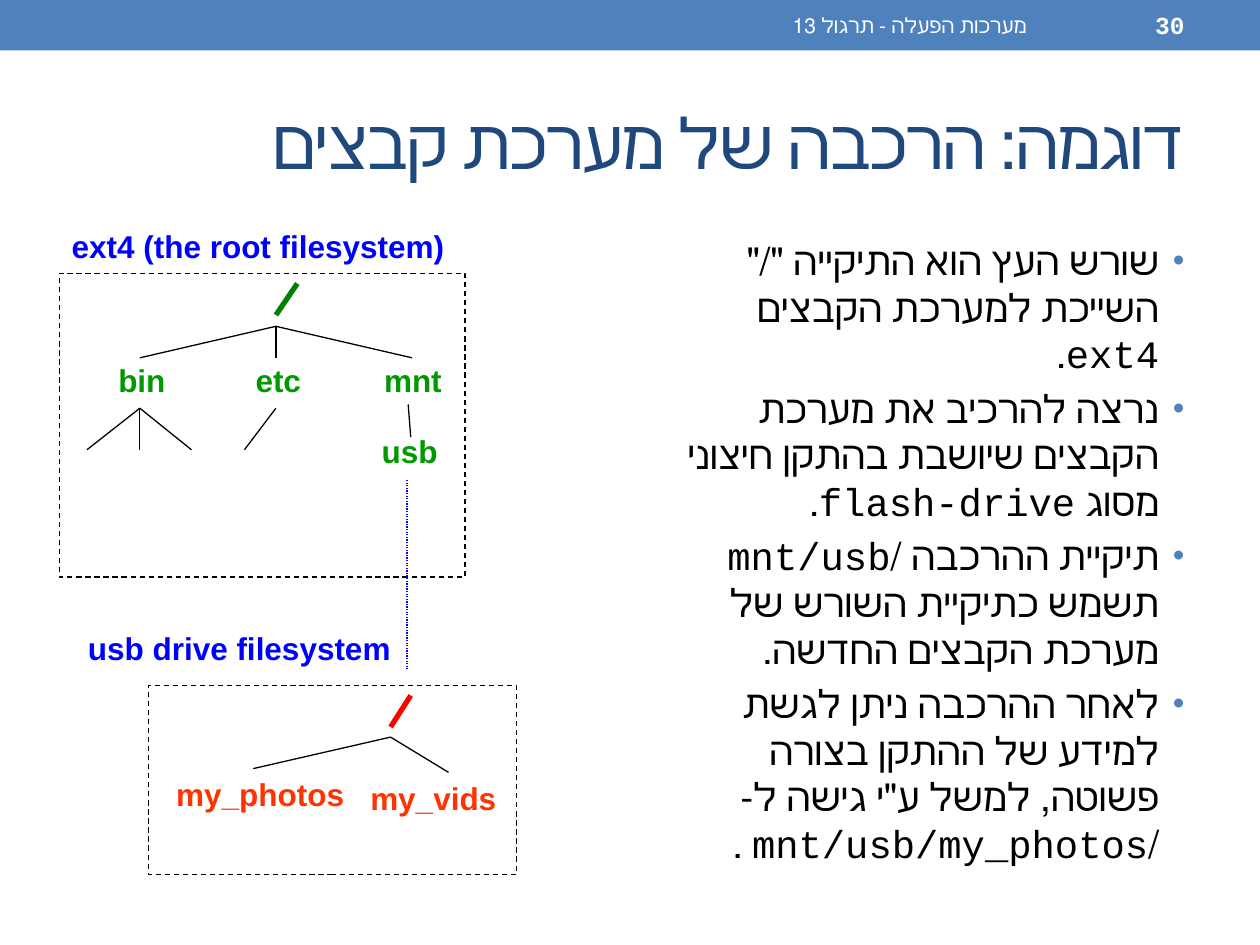
from typing import NamedTuple

from lxml import etree
from pptx import Presentation
from pptx.dml.color import RGBColor
from pptx.enum import dml, shapes, text
from pptx.oxml.ns import qn
from pptx.util import Inches, Pt

COLORS = {
    "bar": "4F81BD", "title": "1F497D", "white": "FFFFFF", "black": "000000",
    "root": "008000", "folder": "009900", "usb_root": "FF0000",
    "usb_folder": "FF3300", "caption": "0000FF",
}
MONO = "Courier New"
DASH = dml.MSO_LINE.DASH
DOTS = dml.MSO_LINE.ROUND_DOT


class Box(NamedTuple):
    left: float
    top: float
    width: float
    height: float


class Label(NamedTuple):
    wording: str
    left: float
    top: float
    width: float
    color: str


class Fan(NamedTuple):
    """Lines from one point to each of several ends."""
    start: tuple[float, float]
    ends: list[tuple[float, float]]
    color: str = "black"
    width: float = 0.75
    dash: dml.MSO_LINE | None = None


TITLE = "דוגמה: הרכבה של מערכת קבצים"
BULLETS = [
    'שורש העץ הוא התיקייה "/" השייכת למערכת הקבצים ext4.',
    "נרצה להרכיב את מערכת הקבצים שיושבת בהתקן חיצוני מסוג flash-drive.",
    "תיקיית ההרכבה /mnt/usb תשמש כתיקיית השורש של מערכת הקבצים החדשה.",
    'לאחר ההרכבה ניתן לגשת למידע של ההתקן בצורה פשוטה, למשל ע"י גישה ל- /mnt/usb/my_photos .',
]
FILESYSTEMS = [Box(0.47, 2.17, 3.22, 2.41), Box(1.18, 5.44, 2.92, 1.5)]
FANS = [
    Fan((2.36, 2.25), [(2.19, 2.5)], "root", 3),
    Fan((2.19, 2.59), [(1.11, 2.84), (2.19, 2.84), (3.27, 2.84)]),
    Fan((1.11, 3.24), [(0.69, 3.57), (1.11, 3.57), (1.52, 3.57)]),
    Fan((2.19, 3.24), [(1.94, 3.57)]),
    Fan((3.24, 3.21), [(3.26, 3.47)]),
    Fan((3.23, 3.81), [(3.23, 5.31)], "caption", dash=DOTS),
    Fan((3.26, 5.52), [(3.1, 5.77)], "usb_root", 3),
    Fan((3.1, 5.85), [(2.01, 6.1), (3.56, 6.13)]),
]
LABELS = [
    Label("bin", 0.84, 2.82, 0.58, "folder"),
    Label("etc", 1.93, 2.82, 0.56, "folder"),
    Label("mnt", 2.95, 2.82, 0.66, "folder"),
    Label("usb", 2.93, 3.38, 0.65, "folder"),
    Label("my_photos", 1.3, 6.1, 1.55, "usb_folder"),
    Label("my_vids", 2.84, 6.13, 1.21, "usb_folder"),
    Label("ext4 (the root filesystem)", 0.47, 1.75, 3.19, "caption"),
    Label("usb drive filesystem", 0.6, 4.94, 2.63, "caption"),
]


def rgb(name: str) -> RGBColor:
    return RGBColor.from_string(COLORS[name])


def inches(box) -> list:
    return [Inches(value) for value in box]


def add_run(paragraph, wording: str, size: float, color: str,
            font: str = MONO, bold: bool = False):
    run = paragraph.add_run()
    run.text = wording
    run.font.name = font
    run.font.size = Pt(size)
    run.font.bold = bold
    run.font.color.rgb = rgb(color)
    return run


def set_right_to_left(paragraph) -> None:
    paragraph.alignment = text.PP_ALIGN.RIGHT
    paragraph._p.get_or_add_pPr().set("rtl", "1")


def place(placeholder, box: Box, anchor) -> None:
    placeholder.left, placeholder.top, placeholder.width, placeholder.height = inches(box)
    placeholder.text_frame.auto_size = text.MSO_AUTO_SIZE.NONE
    placeholder.text_frame.vertical_anchor = anchor


def fill_title(placeholder) -> None:
    place(placeholder, Box(0.5, 0.58, 9, 1.08), text.MSO_ANCHOR.MIDDLE)
    paragraph = placeholder.text_frame.paragraphs[0]
    set_right_to_left(paragraph)
    run = add_run(paragraph, TITLE, 40, "title")
    run.font._element.set("spc", "-100")


def add_bullet(paragraph) -> None:
    properties = paragraph._p.get_or_add_pPr()
    properties.set("marL", str(Inches(0.2)))
    properties.set("indent", str(-Inches(0.2)))
    color = etree.SubElement(properties, qn("a:buClr"))
    etree.SubElement(color, qn("a:srgbClr"), val=COLORS["bar"])
    etree.SubElement(properties, qn("a:buSzPct"), val="85000")
    etree.SubElement(properties, qn("a:buFont"), typeface="Arial")
    etree.SubElement(properties, qn("a:buChar"), char="•")


def fill_body(placeholder) -> None:
    place(placeholder, Box(5.08, 1.83, 4.42, 5.16), text.MSO_ANCHOR.TOP)
    frame = placeholder.text_frame
    for index, wording in enumerate(BULLETS):
        paragraph = frame.add_paragraph() if index else frame.paragraphs[0]
        set_right_to_left(paragraph)
        paragraph.space_before = Pt(4.4)
        add_bullet(paragraph)
        add_run(paragraph, wording, 22.2, "black")


def add_rectangle(slide, box: Box):
    shape = slide.shapes.add_shape(shapes.MSO_SHAPE.RECTANGLE, *inches(box))
    shape.shadow.inherit = False
    return shape


def add_header_text(slide, wording: str, left: float, width: float,
                    size: float, bold: bool = False):
    box = Box(left, 0.02, width, 0.36)
    frame = slide.shapes.add_textbox(*inches(box)).text_frame
    frame.word_wrap = True
    frame.vertical_anchor = text.MSO_ANCHOR.MIDDLE
    set_right_to_left(frame.paragraphs[0])
    return add_run(frame.paragraphs[0], wording, size, "white", bold=bold)


def add_header(slide) -> None:
    bar = add_rectangle(slide, Box(0, 0, 10, 0.4))
    bar.fill.solid()
    bar.fill.fore_color.rgb = rgb("bar")
    bar.line.fill.background()
    add_header_text(slide, "מערכות הפעלה - תרגול 13", 3.75, 4.5, 12)
    number = add_header_text(slide, "30", 8.33, 1.17, 14, bold=True)
    # Digits in a right-to-left paragraph take the complex-script font.
    etree.SubElement(number.font._element, qn("a:cs"), typeface=MONO)


def add_frame(slide, box: Box) -> None:
    frame = add_rectangle(slide, box)
    frame.fill.background()
    frame.line.color.rgb = rgb("black")
    frame.line.width = Pt(0.75)
    frame.line.dash_style = DASH


def add_fan(slide, fan: Fan) -> None:
    for end in fan.ends:
        line = slide.shapes.add_connector(
            shapes.MSO_CONNECTOR.STRAIGHT, *inches(fan.start + end))
        line.line.color.rgb = rgb(fan.color)
        line.line.width = Pt(fan.width)
        if fan.dash is not None:
            line.line.dash_style = fan.dash
        etree.SubElement(line._element.spPr, qn("a:effectLst"))


def add_label(slide, label: Label) -> None:
    box = Box(label.left, label.top, label.width, 0.4)
    frame = slide.shapes.add_textbox(*inches(box)).text_frame
    frame.word_wrap = False
    frame.auto_size = text.MSO_AUTO_SIZE.SHAPE_TO_FIT_TEXT
    add_run(frame.paragraphs[0], label.wording, 18, label.color, "Arial", True)


def main() -> None:
    presentation = Presentation()
    presentation.slide_width, presentation.slide_height = Inches(10), Inches(7.5)
    slide = presentation.slides.add_slide(presentation.slide_layouts[1])
    fill_title(slide.shapes.title)
    fill_body(slide.placeholders[1])
    add_header(slide)
    for box in FILESYSTEMS:
        add_frame(slide, box)
    for fan in FANS:
        add_fan(slide, fan)
    for label in LABELS:
        add_label(slide, label)
    presentation.save("out.pptx")


if __name__ == "__main__":
    main()
